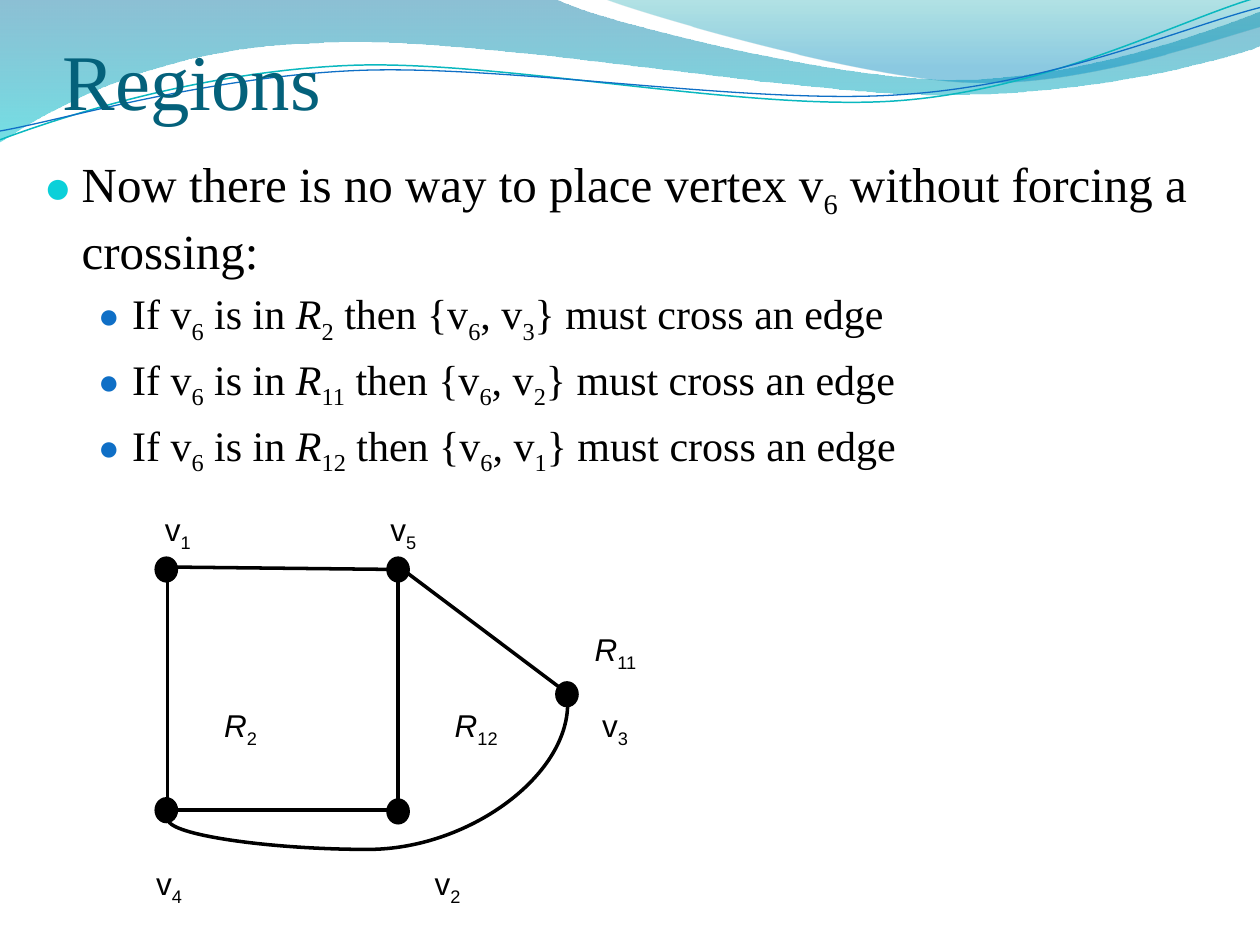
from dataclasses import dataclass
from typing import NamedTuple

from lxml.etree import SubElement
from pptx import Presentation
from pptx.dml.color import RGBColor
from pptx.enum.shapes import MSO_CONNECTOR as Connector, MSO_SHAPE as Preset
from pptx.enum.text import MSO_ANCHOR as Anchor
from pptx.oxml.ns import qn
from pptx.util import Inches, Pt


@dataclass(frozen=True)
class Theme:
    serif: str = "Times New Roman"
    sans: str = "Arial"
    ink: str = "000000"
    title: str = "04617B"
    title_size: float = 45
    body_size: float = 28
    sub_size: float = 24
    label_size: float = 18
    edge_width: float = 2
    bullet: str = "0BD0D9"
    sub_bullet: str = "0F6FC6"


class Stop(NamedTuple):
    position: float
    color: str
    opacity: int


class Wave(NamedTuple):
    """Outline of cubic curves (6 numbers) and straight runs (2 numbers)."""
    start: tuple
    segments: list
    stops: tuple = ()
    line: str = ""
    width: float = 0


class Level(NamedTuple):
    size: float
    margin: float
    indent: float
    bullet: str
    bullet_percent: int
    space: float


class LabelRow(NamedTuple):
    """Labels on one line, each at its own tab stop."""
    space: float
    labels: dict


THEME = Theme()
WAVES = [
    Wave((0, 0), [(4.4, -0.01), (4.76, 0.17, 6.64, 0.63, 7.58, 0.63),
                  (8.53, 0.63, 9.58, 0.26, 10, 0.09), (10.01, 0.36),
                  (9.83, 0.44, 8.7, 0.76, 7.46, 0.75),
                  (6.22, 0.75, 3.82, 0.28, 2.57, 0.34),
                  (1.29, 0.36, 0.46, 0.83, -0.01, 1.13)],
         stops=(Stop(0, "0074A1", 45), Stop(1, "00C6CF", 55))),
    Wave((4.79, -0.01), [(5.09, 0.11, 6.82, 0.62, 7.69, 0.65),
                         (8.56, 0.69, 9.61, 0.32, 10, 0.21), (10, 0)],
         stops=(Stop(0, "00A1A9", 30), Stop(0.8, "008BBF", 45))),
    Wave((0, 1.11), [(0.48, 0.93, 1.58, 0.57, 2.77, 0.52),
                     (3.95, 0.47, 5.93, 0.89, 7.13, 0.8),
                     (8.33, 0.71, 9.38, 0.15, 9.98, -0.02)],
         line="0AB8BF", width=0.85),
    Wave((0, 1.04), [(0.47, 0.96, 1.64, 0.61, 2.83, 0.56),
                     (4.03, 0.51, 5.97, 0.84, 7.17, 0.75),
                     (8.36, 0.67, 9.41, 0.21, 10, 0.06)],
         line="0F6FC6", width=0.75),
]
MAIN = Level(THEME.body_size, 0.3, -0.3, THEME.bullet, 95, 0)
SUB = Level(THEME.sub_size, 0.7, -0.27, THEME.sub_bullet, 85, 4.8)
CASES = [("2", "3"), ("11", "2"), ("12", "1")]
LABEL_ROWS = [
    LabelRow(0, {"v_1_": 0.63, "v_5_": 2.42}),
    LabelRow(44, {"*R*_11_": 4.04}),
    LabelRow(18.8, {"*R*_2_": 1.1, "*R*_12_": 2.93, "v_3_": 4.1}),
    LabelRow(65.7, {"v_4_": 0.56, "v_2_": 2.77}),
]
VERTICES = [(1.24, 4.43), (3.08, 4.43), (1.24, 6.34), (3.08, 6.35), (4.42, 5.42)]
EDGES = [
    ((1.33, 4.5), (1.33, 6.43)), ((3.16, 4.52), (3.16, 6.44)),
    ((3.16, 6.43), (1.33, 6.43)), ((3.16, 4.52), (1.33, 4.5)),
    ((3.17, 4.5), (4.5, 5.5)),
]


def rgb(color: str) -> RGBColor:
    return RGBColor.from_string(color)


def hundredths(numbers: tuple) -> list:
    """Pair up coordinates as whole hundredths of an inch."""
    units = [round(number * 100) for number in numbers]
    return list(zip(units[::2], units[1::2]))


def add_outline(page, wave: Wave):
    """Build the outline from its end points, then bend the curved segments."""
    segments = [hundredths(segment) for segment in wave.segments]
    start = hundredths(wave.start)[0]
    ends = [segment[-1] for segment in segments]
    builder = page.shapes.build_freeform(*start, scale=Inches(0.01))
    builder.add_line_segments(ends, close=bool(wave.stops))
    shape = builder.convert_to_shape()
    left, top = (min(values) for values in zip(start, *ends))
    lines = list(shape._element.spPr.iter(qn("a:lnTo")))
    for line, segment in zip(lines, segments):
        if len(segment) == 3:
            line.tag = qn("a:cubicBezTo")
            line.remove(line[0])
            for x, y in segment:
                SubElement(line, qn("a:pt"), x=str(x - left), y=str(y - top))
    return shape


def draw_wave(page, wave: Wave) -> None:
    shape = add_outline(page, wave)
    shape.shadow.inherit = False
    if not wave.stops:
        shape.fill.background()
        shape.line.color.rgb = rgb(wave.line)
        shape.line.width = Pt(wave.width)
        return
    shape.line.fill.background()
    shape.fill.gradient()
    shape.fill.gradient_angle = 270
    for target, stop in zip(shape.fill.gradient_stops, wave.stops):
        target.position = stop.position
        target.color.rgb = rgb(stop.color)
    for color, stop in zip(shape._element.spPr.iter(qn("a:srgbClr")), wave.stops):
        SubElement(color, qn("a:alpha"), val=str(stop.opacity * 1000))


def write(para, text: str, *, size: float, font: str, color: str = THEME.ink) -> None:
    """Add spans to a paragraph: _x_ is subscript, *x* is italic."""
    for i, part in enumerate(text.split("_")):
        for j, piece in enumerate(part.split("*")):
            if not piece:
                continue
            span = para.add_run()
            span.text = piece
            span.font.size, span.font.name = Pt(size), font
            span.font.color.rgb = rgb(color)
            if j % 2:
                span.font.italic = True
            if i % 2:
                span.font._element.set("baseline", "-25000")


def add_box(page, left: float, top: float, width: float, height: float,
            *, inset: float = 0.1, anchor=Anchor.TOP):
    box = page.shapes.add_textbox(*map(Inches, (left, top, width, height)))
    frame = box.text_frame
    frame.word_wrap, frame.vertical_anchor = True, anchor
    frame.margin_left = frame.margin_right = Inches(inset)
    frame.margin_top = frame.margin_bottom = Inches(inset / 2)
    return frame


def write_bullet(para, text: str, level: Level) -> None:
    props = para._p.get_or_add_pPr()
    props.set("marL", str(Inches(level.margin)))
    props.set("indent", str(Inches(level.indent)))
    color = SubElement(props, qn("a:buClr"))
    SubElement(color, qn("a:srgbClr"), val=level.bullet)
    SubElement(props, qn("a:buSzPct"), val=str(level.bullet_percent * 1000))
    SubElement(props, qn("a:buFont"), typeface=THEME.sans)
    SubElement(props, qn("a:buChar"), char="●")
    para.space_before = Pt(level.space)
    write(para, text, size=level.size, font=THEME.serif)


def write_labels(para, row: LabelRow) -> None:
    tabs = SubElement(para._p.get_or_add_pPr(), qn("a:tabLst"))
    for position in row.labels.values():
        SubElement(tabs, qn("a:tab"), pos=str(Inches(position)), algn="l")
    para.space_before = Pt(row.space)
    write(para, "".join(f"\t{label}" for label in row.labels),
          size=THEME.label_size, font=THEME.sans)


def draw_edge(page, start: tuple, end: tuple, kind=Connector.STRAIGHT):
    edge = page.shapes.add_connector(kind, *map(Inches, start + end))
    edge.line.color.rgb = rgb(THEME.ink)
    edge.line.width = Pt(THEME.edge_width)
    SubElement(edge._element.spPr, qn("a:effectLst"))
    return edge


def draw_outer_edge(page) -> None:
    """Curve from v3 round below the square to v4: a quarter-turned connector."""
    props = draw_edge(page, (2.46, 4.46), (3.38, 7.63), Connector.CURVE)._element.spPr
    props.find(qn("a:xfrm")).set("rot", str(90 * 60000))
    adjust = props.find(qn("a:prstGeom")).find(qn("a:avLst"))
    SubElement(adjust, qn("a:gd"), name="adj1", fmla="val 125700")


def draw_vertex(page, left: float, top: float) -> None:
    dot = page.shapes.add_shape(Preset.OVAL, *map(Inches, (left, top, 0.16, 0.18)))
    dot.shadow.inherit = False
    dot.fill.solid()
    dot.fill.fore_color.rgb = dot.line.color.rgb = rgb(THEME.ink)
    dot.line.width = Pt(THEME.edge_width)


def main() -> None:
    deck = Presentation()
    deck.slide_width, deck.slide_height = Inches(10), Inches(7.5)
    page = deck.slides.add_slide(deck.slide_layouts[6])
    for wave in WAVES:
        draw_wave(page, wave)

    title = add_box(page, 0.5, 0.17, 9, 0.83, inset=0, anchor=Anchor.BOTTOM)
    write(title.paragraphs[0], "Regions", size=THEME.title_size,
          font=THEME.serif, color=THEME.title)
    body = add_box(page, 0.25, 1.17, 9.42, 3.17)
    write_bullet(body.paragraphs[0], "Now there is no way to place vertex v_6_"
                 " without forcing a crossing:", MAIN)
    for region, vertex in CASES:
        write_bullet(body.add_paragraph(), f"If v_6_ is in *R*_{region}_ then "
                     f"{{v_6_, v_{vertex}_}} must cross an edge", SUB)

    labels = add_box(page, 0.58, 4, 5.08, 2.93)
    for index, row in enumerate(LABEL_ROWS):
        write_labels(labels.add_paragraph() if index else labels.paragraphs[0], row)
    for start, end in EDGES:
        draw_edge(page, start, end)
    draw_outer_edge(page)
    for vertex in VERTICES:
        draw_vertex(page, *vertex)
    deck.save("out.pptx")


if __name__ == "__main__":
    main()
